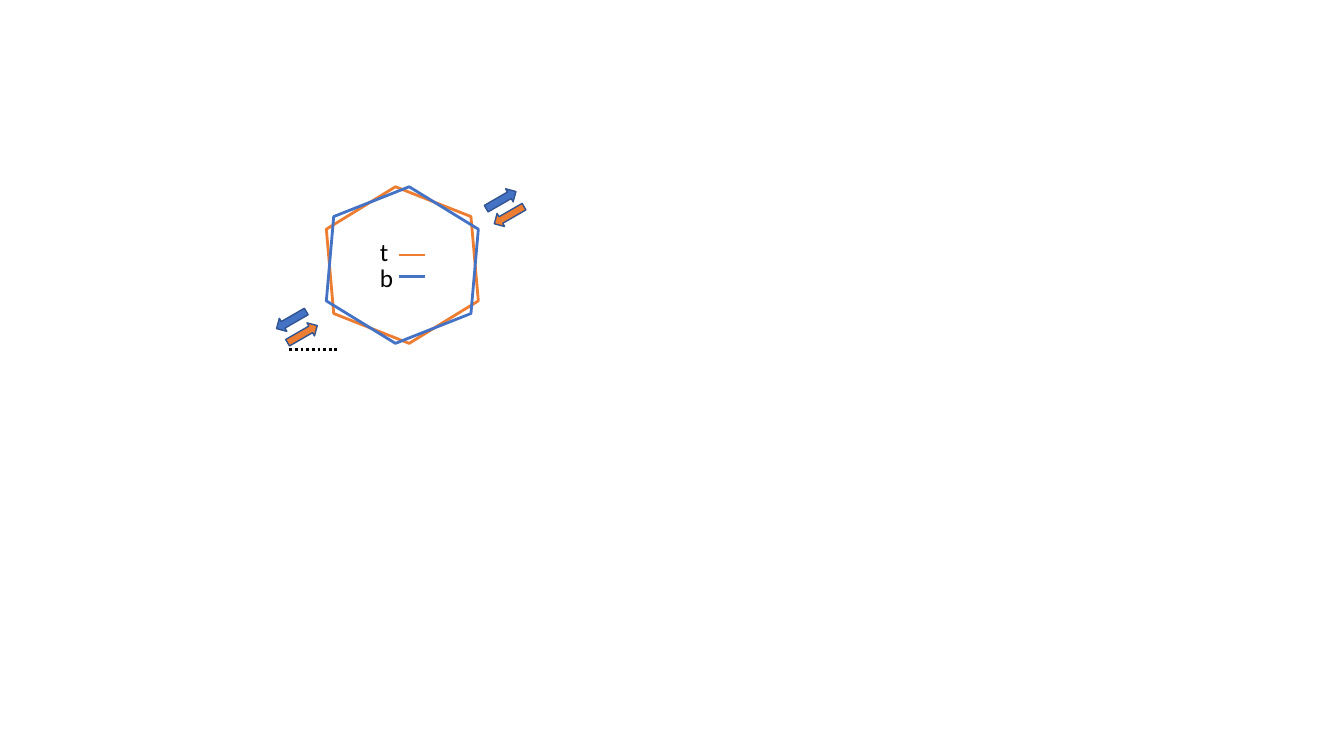
"""Builds a slide with two twisted hexagons, their key and shear arrows."""
from lxml.etree import SubElement
from pptx import Presentation
from pptx.dml.color import RGBColor
from pptx.enum.dml import MSO_LINE
from pptx.enum.shapes import MSO_CONNECTOR, MSO_SHAPE
from pptx.enum.text import MSO_AUTO_SIZE
from pptx.oxml.ns import qn
from pptx.util import Inches, Pt

TOP, BASE, EDGE, INK = "ED7D31", "4472C4", "325491", "000000"


def tint(fmt, hue):
    fmt.solid()
    fmt.fore_color.rgb = RGBColor.from_string(hue)


def draw(kind, box, turn, hue, width):
    shape = group.shapes.add_shape(kind, *map(Inches, box))
    shape.rotation = turn
    shape.shadow.inherit = False
    tint(shape.line.fill, hue)
    shape.line.width = Pt(width)
    return shape


deck = Presentation()
deck.slide_width, deck.slide_height = Inches(13.33), Inches(7.5)
slide = deck.slides.add_slide(deck.slide_layouts[6])
group = slide.shapes.add_group_shape()

for turn, hue in ((85, TOP), (95, BASE)):
    layer = draw(MSO_SHAPE.HEXAGON, (3.21, 1.91, 1.56, 1.44), turn, hue, 2)
    layer.fill.background()

rules = (
    (3.96, 4.22, 2.53, TOP, {"width": Pt(2)}),
    (3.96, 4.22, 2.74, BASE, {"width": Pt(2)}),
    (2.87, 3.36, 3.47, INK, {"width": Pt(2), "dash_style": MSO_LINE.ROUND_DOT}),
)
for left, right, y, hue, style in rules:
    ends = map(Inches, (left, y, right, y))
    rule = group.shapes.add_connector(MSO_CONNECTOR.STRAIGHT, *ends)
    tint(rule.line.fill, hue)
    for key, value in style.items():
        setattr(rule.line, key, value)
    SubElement(rule._element.spPr, qn("a:effectLst"))

frame = {
    "word_wrap": True,
    "auto_size": MSO_AUTO_SIZE.NONE,
    "margin_left": Inches(0.1),
    "margin_right": 0,
    "margin_top": Inches(0.05),
    "margin_bottom": 0,
}
face = {"name": "Calibri", "size": Pt(18)}
for word, y in (("t", 2.3), ("b", 2.55)):
    label = group.shapes.add_textbox(*map(Inches, (3.67, y, 0.24, 0.24)))
    text = label.text_frame
    for key, value in frame.items():
        setattr(text, key, value)
    text.text = word
    font = text.paragraphs[0].runs[0].font
    for key, value in face.items():
        setattr(font, key, value)
    tint(font.fill, INK)

arrows = (
    (4.88, 2.06, 150, TOP),
    (4.8, 1.91, 330, BASE),
    (2.83, 3.24, 330, TOP),
    (2.72, 3.1, 150, BASE),
)
for x, y, turn, hue in arrows:
    arrow = draw(MSO_SHAPE.RIGHT_ARROW, (x, y, 0.34, 0.15), turn, EDGE, 1)
    tint(arrow.fill, hue)

deck.save("out.pptx")
